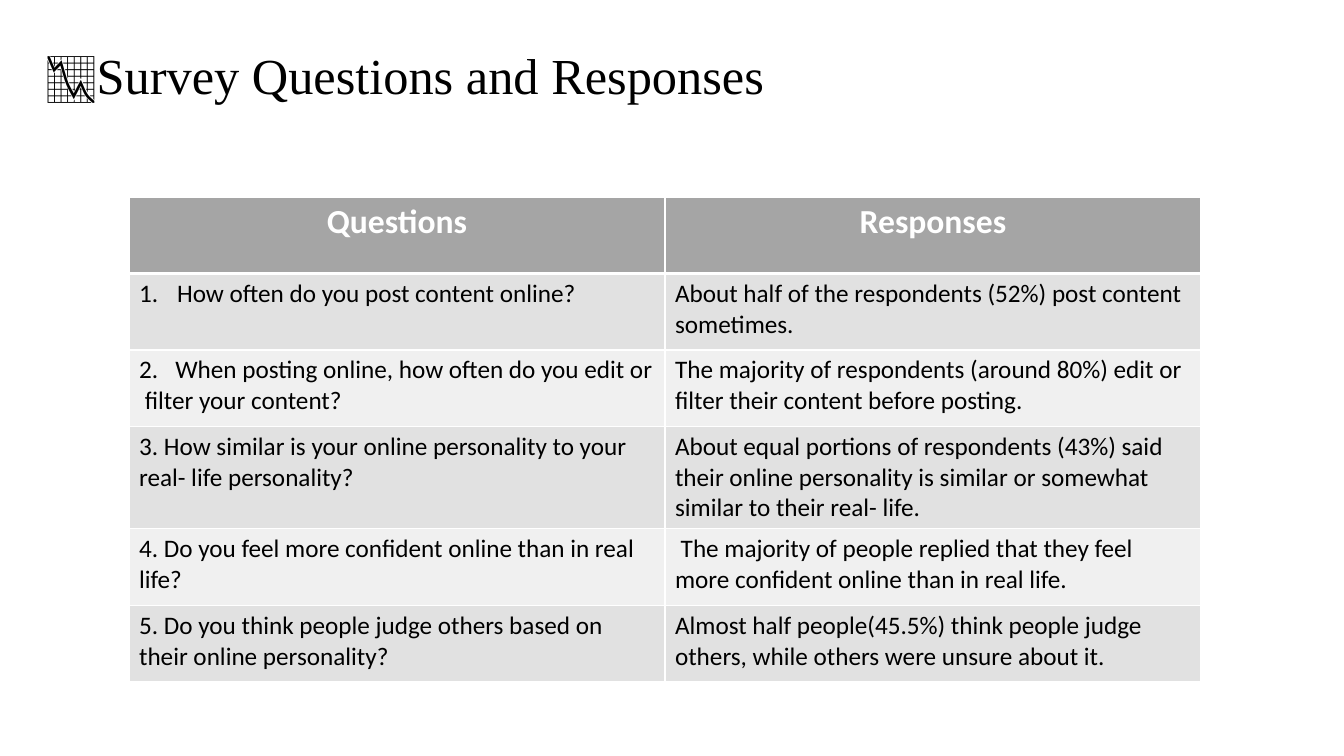
from lxml import etree
from pptx import Presentation
from pptx.dml.color import RGBColor
from pptx.enum.text import MSO_ANCHOR, MSO_AUTO_SIZE, PP_ALIGN
from pptx.oxml.ns import qn
from pptx.util import Pt

LEFT, CENTER = PP_ALIGN.LEFT, PP_ALIGN.CENTER
TOP, NO_FIT = MSO_ANCHOR.TOP, MSO_AUTO_SIZE.NONE
COLORS = {"header": "A5A5A5", "odd": "E1E1E1", "even": "F0F0F0",
          "text": "000000", "white": "FFFFFF"}
ROWS = [
    ("Questions", "Responses"),
    ("How often do you post content online?",
     "About half of the respondents (52%) post content sometimes."),
    ("2.   When posting online, how often do you edit or  filter your content?",
     "The majority of respondents (around 80%) edit or filter their content before posting."),
    ("3. How similar is your online personality to your real- life personality?",
     "About equal portions of respondents (43%) said their online personality is similar "
     "or somewhat similar to their real- life."),
    ("4. Do you feel more confident online than in real life?",
     " The majority of people replied that they feel more confident online than in real life."),
    ("5. Do you think people judge others based on their online personality?",
     "Almost half people(45.5%) think people judge others, while others were unsure about it."),
]


def px(n):
    return round(n * 914400 / 100.8)


def style(p, font, size, color, align, bold=False):
    p.alignment = align
    p.font.name, p.font.size, p.font.bold = font, Pt(size), bold
    p.font.color.rgb = RGBColor.from_string(COLORS[color])


prs = Presentation()
prs.slide_width, prs.slide_height = px(1344), px(756)
s = prs.slides.add_slide(prs.slide_layouts[5])

# Title
title = s.shapes.title
title.left, title.top, title.width, title.height = px(23), px(39), px(849), px(72)
tf = title.text_frame
tf.text = " 📉Survey Questions and Responses"
tf.word_wrap, tf.auto_size, tf.vertical_anchor = True, NO_FIT, TOP
style(tf.paragraphs[0], "Times New Roman", 36, "text", LEFT)

# Table of questions and responses
table = s.shapes.add_table(len(ROWS), 2, px(129), px(197), px(1072), px(459)).table
for i, row in enumerate(ROWS):
    header = i == 0
    fill = "header" if header else "odd" if i % 2 else "even"
    for j, text in enumerate(row):
        cell = table.cell(i, j)
        cell.text = text
        p = cell.text_frame.paragraphs[0]
        if header:
            style(p, "Calibri", 24, "white", CENTER, True)
        else:
            style(p, "Calibri", 18, "text", LEFT)

        # White borders, thicker under the header
        tcPr = cell._tc.get_or_add_tcPr()
        for side in ("lnL", "lnR", "lnT", "lnB"):
            thick = (i, side) in ((0, "lnB"), (1, "lnT"))
            ln = etree.SubElement(tcPr, qn("a:" + side), w=str(Pt(3 if thick else 1)))
            solid = etree.SubElement(ln, qn("a:solidFill"))
            etree.SubElement(solid, qn("a:srgbClr"), val=COLORS["white"])
        cell.fill.solid()
        cell.fill.fore_color.rgb = RGBColor.from_string(COLORS[fill])

# Automatic number on the first question
pPr = table.cell(1, 0).text_frame.paragraphs[0]._p.get_or_add_pPr()
pPr.set("marL", str(px(38)))
pPr.set("indent", str(-px(38)))
number = etree.Element(qn("a:buAutoNum"), type="arabicPeriod")
pPr.insert(0, number)

prs.save("out.pptx")
